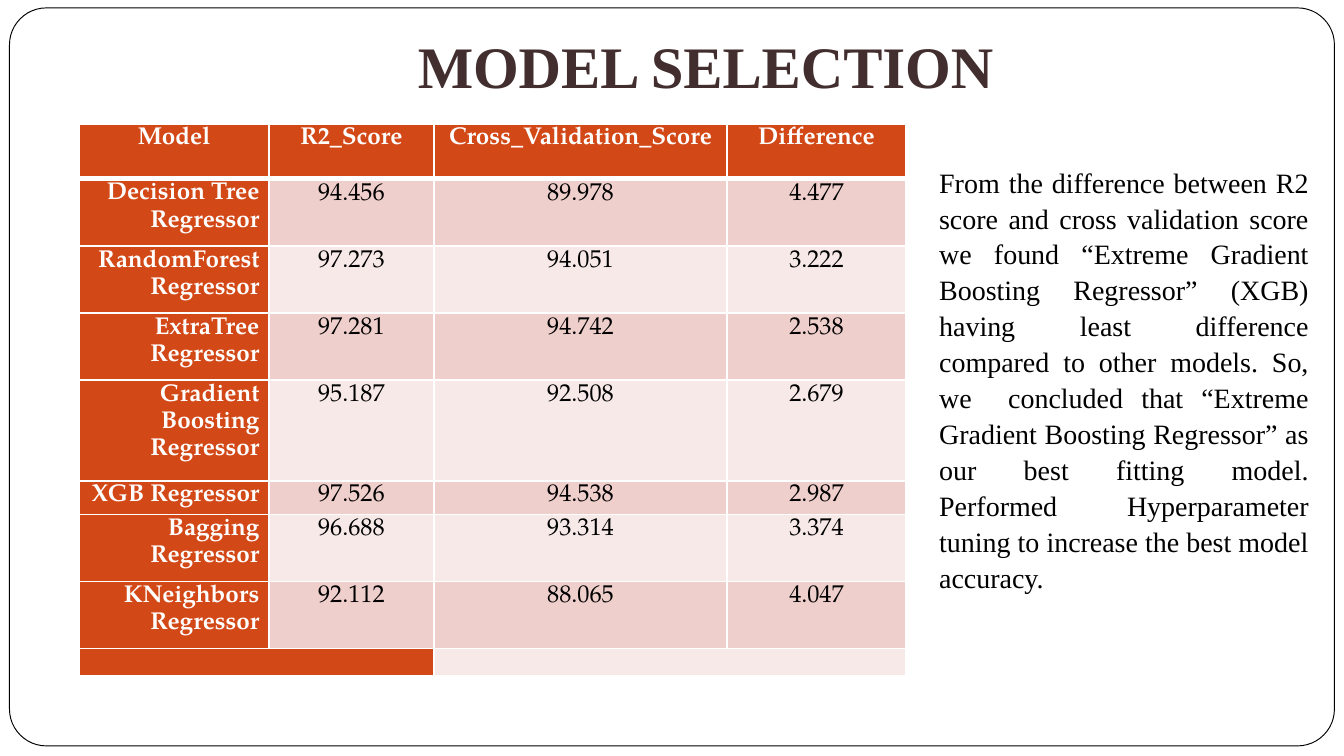
from lxml.etree import SubElement
from pptx import Presentation
from pptx.dml.color import RGBColor
from pptx.enum.shapes import MSO_SHAPE
from pptx.enum.text import MSO_ANCHOR, MSO_AUTO_SIZE, PP_ALIGN
from pptx.oxml.ns import qn
from pptx.util import Cm, Pt

COLORS = {
    "white": "FFFFFF", "black": "000000", "title": "422E2E",
    "accent": "D34817", "dark_band": "EFCFCC", "light_band": "F7E9E8",
}


def add_text(paragraph, text, font_name, size, color, alignment, bold=False):
    paragraph.alignment = alignment
    run = paragraph.add_run()
    run.text = text
    run.font.name = font_name
    run.font.size = Pt(size)
    run.font.bold = bold
    run.font.color.rgb = RGBColor.from_string(COLORS[color])


def style_cell(cell, fill, bottom_width):
    cell.margin_left = cell.margin_right = Cm(0.18)
    cell.margin_top = cell.margin_bottom = 0
    properties = cell._tc.get_or_add_tcPr()
    for side in ("L", "R", "T", "B"):
        width = bottom_width if side == "B" else 1
        border = SubElement(properties, qn(f"a:ln{side}"), w=str(Pt(width)))
        border_fill = SubElement(border, qn("a:solidFill"))
        SubElement(border_fill, qn("a:srgbClr"), val=COLORS["white"])
    cell.fill.solid()
    cell.fill.fore_color.rgb = RGBColor.from_string(COLORS[fill])


presentation = Presentation()
presentation.slide_width = Cm(25.4)
presentation.slide_height = Cm(14.28)
slide = presentation.slides.add_slide(presentation.slide_layouts[6])

frame = slide.shapes.add_shape(
    MSO_SHAPE.ROUNDED_RECTANGLE, Cm(0.18), Cm(0.15), Cm(25.04), Cm(13.94))
frame.adjustments[0] = 0.05
frame.shadow.inherit = False
frame.fill.solid()
frame.fill.fore_color.rgb = RGBColor.from_string(COLORS["white"])
frame.line.color.rgb = RGBColor.from_string(COLORS["black"])
frame.line.width = Pt(0.5)

title = slide.shapes.add_textbox(Cm(2.54), Cm(0.58), Cm(21.59), Cm(1.57))
title.text_frame.word_wrap = True
title.text_frame.vertical_anchor = MSO_ANCHOR.BOTTOM
title.text_frame.margin_bottom = Cm(0.25)
add_text(title.text_frame.paragraphs[0], "MODEL SELECTION",
         "Times New Roman", 31.5, "title", PP_ALIGN.CENTER, True)

rows = [
    ("Model", "R2_Score", "Cross_Validation_Score", "Difference"),
    ("Decision Tree Regressor", "94.456", "89.978", "4.477"),
    ("RandomForest Regressor", "97.273", "94.051", "3.222"),
    ("ExtraTree Regressor", "97.281", "94.742", "2.538"),
    ("Gradient Boosting Regressor", "95.187", "92.508", "2.679"),
    ("XGB Regressor", "97.526", "94.538", "2.987"),
    ("Bagging Regressor", "96.688", "93.314", "3.374"),
    ("KNeighbors Regressor", "92.112", "88.065", "4.047"),
    ("", "", "", ""),
]
column_widths = [3.58, 3.12, 5.54, 3.38]
row_heights = [1.04, 1.14, 1.14, 1.14, 1.54, 0.56, 1.14, 1.03, 0.51]
table = slide.shapes.add_table(
    len(rows), len(column_widths), Cm(1.5), Cm(2.34),
    Cm(sum(column_widths)), Cm(sum(row_heights))).table
for column, width in zip(table.columns, column_widths):
    column.width = Cm(width)
for row, height in zip(table.rows, row_heights):
    row.height = Cm(height)

last_row = len(rows) - 1
for row_index, values in enumerate(rows):
    band = "dark_band" if row_index % 2 else "light_band"
    for column_index, value in enumerate(values):
        cell = table.cell(row_index, column_index)
        is_header = row_index == 0
        is_label = is_header or column_index == 0
        style_cell(cell, "accent" if is_label else band, 3 if is_header else 1)
        paragraph = cell.text_frame.paragraphs[0]
        if value:
            paragraph.line_spacing = 1.15
            add_text(paragraph, value, "TeX Gyre Pagella", 13,
                     "white" if is_label else "black",
                     PP_ALIGN.RIGHT if is_label and not is_header else PP_ALIGN.CENTER,
                     is_label)
        else:
            SubElement(paragraph._p, qn("a:endParaRPr"), sz="1000")

for first_column in (0, 2):
    table.cell(last_row, first_column).merge(table.cell(last_row, first_column + 1))

conclusion = slide.shapes.add_textbox(Cm(17.5), Cm(2.95), Cm(7.49), Cm(8.48))
conclusion.text_frame.word_wrap = True
conclusion.text_frame.auto_size = MSO_AUTO_SIZE.SHAPE_TO_FIT_TEXT
paragraph = conclusion.text_frame.paragraphs[0]
paragraph.line_spacing = 1.07
paragraph.space_after = Pt(8)
add_text(
    paragraph,
    "From the difference between R2 score and cross validation score we found "
    "“Extreme Gradient Boosting Regressor” (XGB) having least difference compared "
    "to other models. So, we  concluded that “Extreme Gradient Boosting Regressor” "
    "as our best fitting model. Performed Hyperparameter tuning to increase the "
    "best model accuracy.",
    "Times New Roman", 15, "black", PP_ALIGN.JUSTIFY)

presentation.save("out.pptx")
